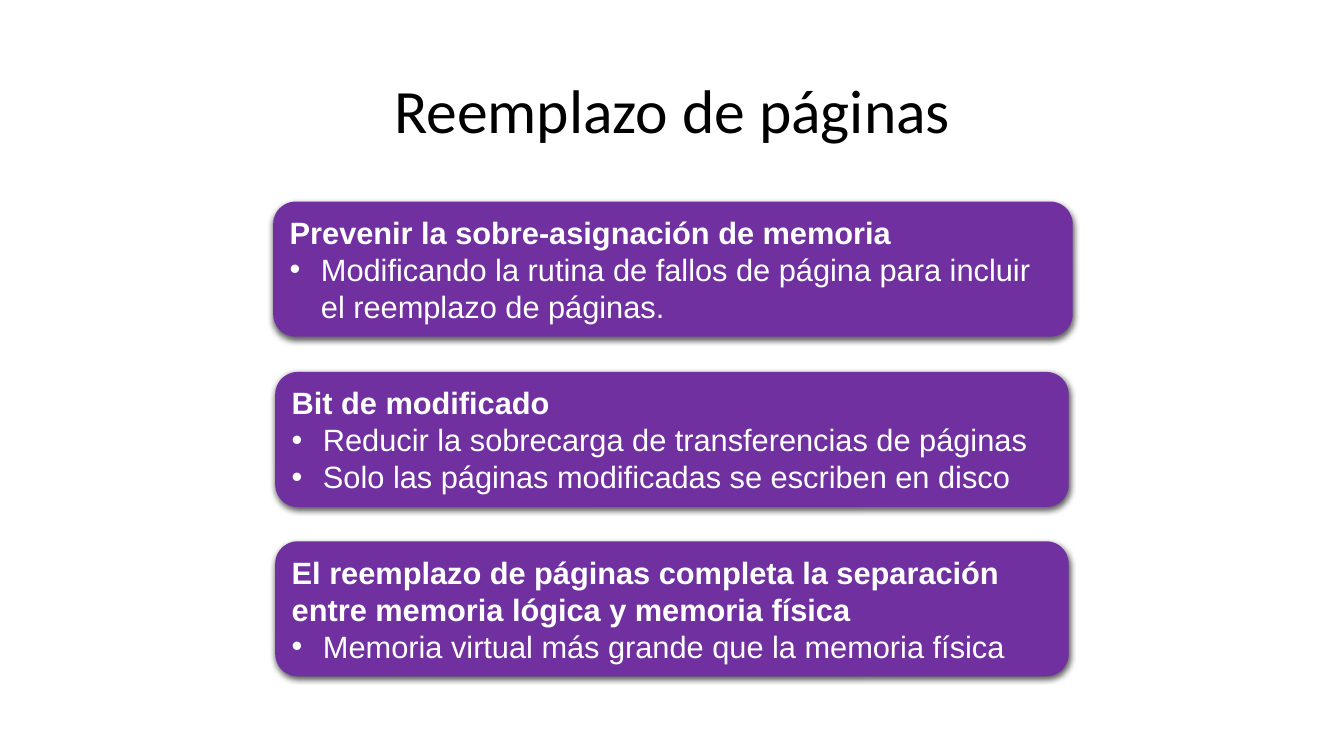
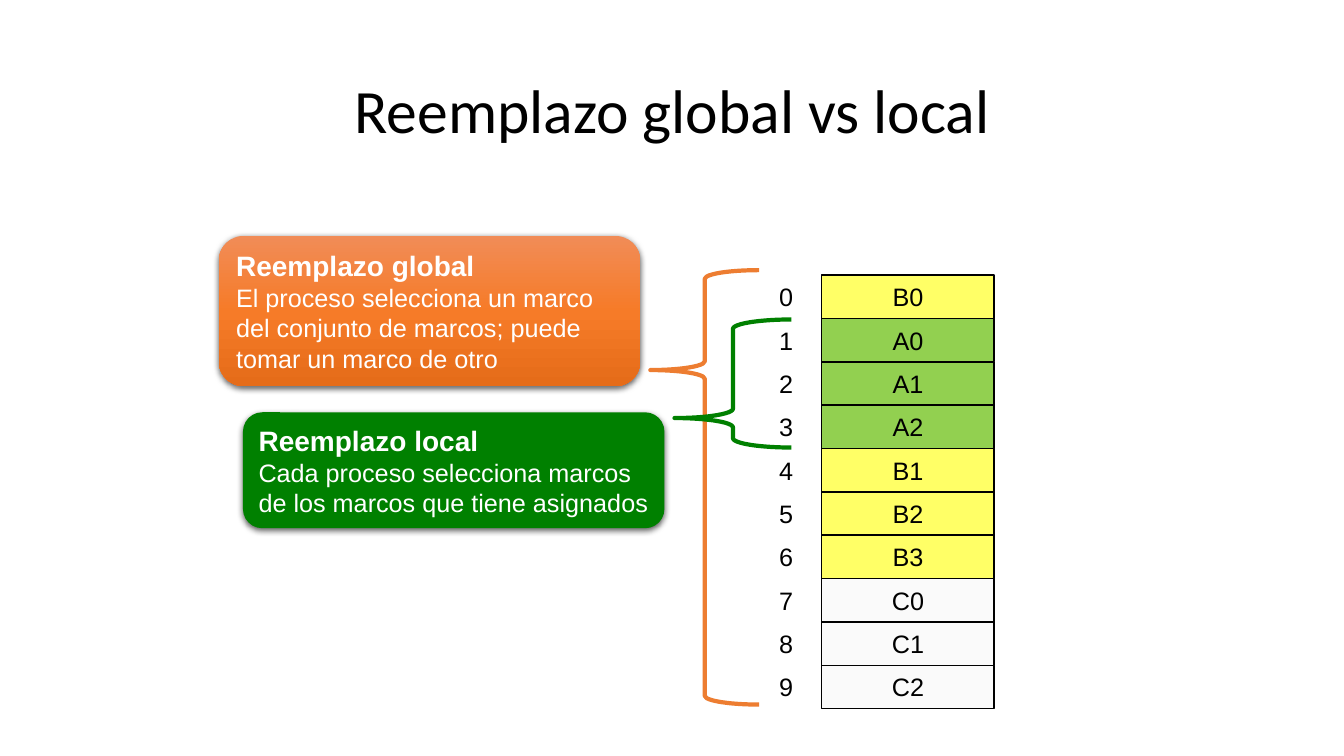
from dataclasses import dataclass

from pptx import Presentation
from pptx.dml.color import RGBColor
from pptx.enum.shapes import MSO_SHAPE
from pptx.enum.text import MSO_ANCHOR, MSO_AUTO_SIZE, PP_ALIGN
from pptx.oxml import parse_xml
from pptx.oxml.ns import nsdecls, qn
from pptx.util import Emu, Pt
from copy import deepcopy

CARD, CELL, BRACE = MSO_SHAPE.ROUNDED_RECTANGLE, MSO_SHAPE.RECTANGLE, MSO_SHAPE.LEFT_BRACE
MIDDLE = MSO_ANCHOR.MIDDLE
NO_FIT, GROW = MSO_AUTO_SIZE.NONE, MSO_AUTO_SIZE.SHAPE_TO_FIT_TEXT
LEFT, CENTER = PP_ALIGN.LEFT, PP_ALIGN.CENTER

EMU_PER_PX = 9144  # 100 px to the inch
TITLE_ONLY = 5
BULLET_INDENT = 31

BLACK, WHITE = "000000", "FFFFFF"
PURPLE, GREEN, ORANGE = "7030A0", "008000", "ED7D31"
ORANGE_STOPS = ("F18C57", "F67B28", "E56C19")
FRAME_FILLS = {"A": "92D050", "B": "FFFF66", "C": "FAFAFA"}

TITLE_BOX = {"left": 92, "top": 40, "width": 1150, "height": 145}
TITLE_FRAME = {"vertical_anchor": MIDDLE, "word_wrap": True, "auto_size": NO_FIT}
TITLE_PARA = {"alignment": CENTER, "line_spacing": 0.9}
TITLE_FONT = {"name": "Calibri", "size": Pt(44), "bold": False}
CARD_FRAME = {"vertical_anchor": MIDDLE, "word_wrap": True, "auto_size": GROW}
CELL_FRAME = {"vertical_anchor": MIDDLE, "word_wrap": False}
CELL_FONT = {"name": "Arial", "size": Pt(18), "bold": False}

FRAMES = ("B0", "A0", "A1", "A2", "B1", "B2", "B3", "C0", "C1", "C2")
FRAMES_TOP, FRAME_HEIGHT = 273, 43
NUMBER_LEFT, NUMBER_WIDTH = 763, 42
FRAME_LEFT, FRAME_WIDTH = 815, 171


@dataclass(frozen=True)
class Box:
    left: int
    top: int
    width: int
    height: int


@dataclass(frozen=True)
class Card:
    box: Box
    fills: tuple[str, ...]
    heading: str
    body: tuple[str, ...]
    heading_size: int
    body_size: int
    bulleted: bool


@dataclass(frozen=True)
class Brace:
    box: Box
    color: str
    tip: float


def topic(box: Box, heading: str, *body: str) -> Card:
    return Card(box, (PURPLE,), heading, body, 22, 22, True)


def policy(box: Box, fills: tuple[str, ...], heading: str, body: str) -> Card:
    return Card(box, fills, heading, (body,), 20, 18, False)


TOPICS = (
    topic(Box(271, 200, 793, 134), "Prevenir la sobre-asignación de memoria",
          "Modificando la rutina de fallos de página para incluir el reemplazo de páginas."),
    topic(Box(273, 369, 787, 134), "Bit de modificado",
          "Reducir la sobrecarga de transferencias de páginas",
          "Solo las páginas modificadas se escriben en disco"),
    topic(Box(273, 537, 787, 134),
          "El reemplazo de páginas completa la separación entre memoria lógica y memoria física",
          "Memoria virtual más grande que la memoria física"),
)
GLOBAL_POLICY = policy(
    Box(217, 234, 418, 149), ORANGE_STOPS, "Reemplazo global",
    "El proceso selecciona un marco del conjunto de marcos; puede tomar un marco de otro")
LOCAL_POLICY = policy(
    Box(241, 409, 418, 115), (GREEN,), "Reemplazo local",
    "Cada proceso selecciona marcos de los marcos que tiene asignados")
GLOBAL_BRACE = Brace(Box(645, 268, 108, 431), ORANGE, 0.23)
LOCAL_BRACE = Brace(Box(669, 317, 116, 127), GREEN, 0.77)


def px(length: int) -> Emu:
    return Emu(length * EMU_PER_PX)


def rgb(color: str) -> RGBColor:
    return RGBColor.from_string(color)


def apply_format(target, values: dict) -> None:
    for name, value in values.items():
        setattr(target, name, value)


def add_span(para, text: str, font: dict, color: str) -> None:
    span = para.add_run()
    span.text = text
    apply_format(span.font, font)
    span.font.color.rgb = rgb(color)


def add_bullet(para) -> None:
    properties = para._p.get_or_add_pPr()
    properties.set("marL", str(px(BULLET_INDENT)))
    properties.set("indent", str(-px(BULLET_INDENT)))
    properties.append(parse_xml(f'<a:buFont {nsdecls("a")} typeface="Arial"/>'))
    properties.append(parse_xml(f'<a:buChar {nsdecls("a")} char="•"/>'))


def set_fill(shape, colors: tuple[str, ...]) -> None:
    """Fill with nothing, one colour, or an even top-to-bottom gradient."""
    if not colors:
        shape.fill.background()
    elif len(colors) == 1:
        shape.fill.solid()
        shape.fill.fore_color.rgb = rgb(colors[0])
    else:
        shape.fill.gradient()
        shape.fill.gradient_angle = 270
        stop_list = shape.element.spPr.find(f'{qn("a:gradFill")}/{qn("a:gsLst")}')
        while len(stop_list) < len(colors):
            stop_list.append(deepcopy(stop_list[0]))
        for index, stop in enumerate(shape.fill.gradient_stops):
            stop.position = index / (len(colors) - 1)
            stop.color.rgb = rgb(colors[index])


def add_box(page, kind, box: Box, fills: tuple[str, ...] = (),
            line: str = "", line_width: int = 1):
    shape = page.shapes.add_shape(
        kind, px(box.left), px(box.top), px(box.width), px(box.height))
    shape.shadow.inherit = False
    set_fill(shape, fills)
    if line:
        shape.line.color.rgb = rgb(line)
        shape.line.width = Pt(line_width)
    else:
        shape.line.fill.background()
    return shape


def add_shadow(shape) -> None:
    shape.element.spPr.find(qn("a:effectLst")).append(parse_xml(
        f'<a:outerShdw {nsdecls("a")} blurRad="{Pt(4.5)}" dist="{Pt(1.5)}" '
        'dir="5400000" algn="ctr" rotWithShape="0">'
        f'<a:srgbClr val="{BLACK}"><a:alpha val="63000"/></a:srgbClr></a:outerShdw>'))


def add_card(page, card: Card) -> None:
    shape = add_box(page, CARD, card.box, card.fills)
    add_shadow(shape)
    frame = shape.text_frame
    apply_format(frame, CARD_FRAME)
    heading = frame.paragraphs[0]
    heading.alignment = LEFT
    add_span(heading, card.heading,
             {"name": "Arial", "size": Pt(card.heading_size), "bold": True}, WHITE)
    for text in card.body:
        para = frame.add_paragraph()
        para.alignment = LEFT
        if card.bulleted:
            add_bullet(para)
        add_span(para, text,
                 {"name": "Arial", "size": Pt(card.body_size), "bold": False}, WHITE)


def add_cell(page, box: Box, text: str, alignment,
             fills: tuple[str, ...] = (), line: str = "") -> None:
    shape = add_box(page, CELL, box, fills, line)
    apply_format(shape.text_frame, CELL_FRAME)
    para = shape.text_frame.paragraphs[0]
    para.alignment = alignment
    add_span(para, text, CELL_FONT, BLACK)


def add_memory(page) -> None:
    """Draw the numbered column of memory frames, coloured by process."""
    for number, name in enumerate(FRAMES):
        top = FRAMES_TOP + number * FRAME_HEIGHT
        add_cell(page, Box(FRAME_LEFT, top, FRAME_WIDTH, FRAME_HEIGHT),
                 name, CENTER, (FRAME_FILLS[name[0]],), BLACK)
        add_cell(page, Box(NUMBER_LEFT, top, NUMBER_WIDTH, FRAME_HEIGHT),
                 str(number), LEFT)


def add_brace(page, brace: Brace) -> None:
    shape = add_box(page, BRACE, brace.box, line=brace.color, line_width=3)
    shape.adjustments[0] = 0.08
    shape.adjustments[1] = brace.tip


def add_page(deck, title: str):
    page = deck.slides.add_slide(deck.slide_layouts[TITLE_ONLY])
    box = page.shapes.title
    apply_format(box, {name: px(length) for name, length in TITLE_BOX.items()})
    apply_format(box.text_frame, TITLE_FRAME)
    para = box.text_frame.paragraphs[0]
    apply_format(para, TITLE_PARA)
    add_span(para, title, TITLE_FONT, BLACK)
    return page


def add_replacement_page(deck) -> None:
    page = add_page(deck, "Reemplazo de páginas")
    for card in TOPICS:
        add_card(page, card)


def add_scope_page(deck) -> None:
    page = add_page(deck, "Reemplazo global vs local")
    add_memory(page)
    add_brace(page, GLOBAL_BRACE)
    add_card(page, GLOBAL_POLICY)
    add_card(page, LOCAL_POLICY)
    add_brace(page, LOCAL_BRACE)


def main() -> None:
    deck = Presentation()
    deck.slide_width, deck.slide_height = px(1333), px(750)
    add_replacement_page(deck)
    add_scope_page(deck)
    deck.save("out.pptx")


if __name__ == "__main__":
    main()
